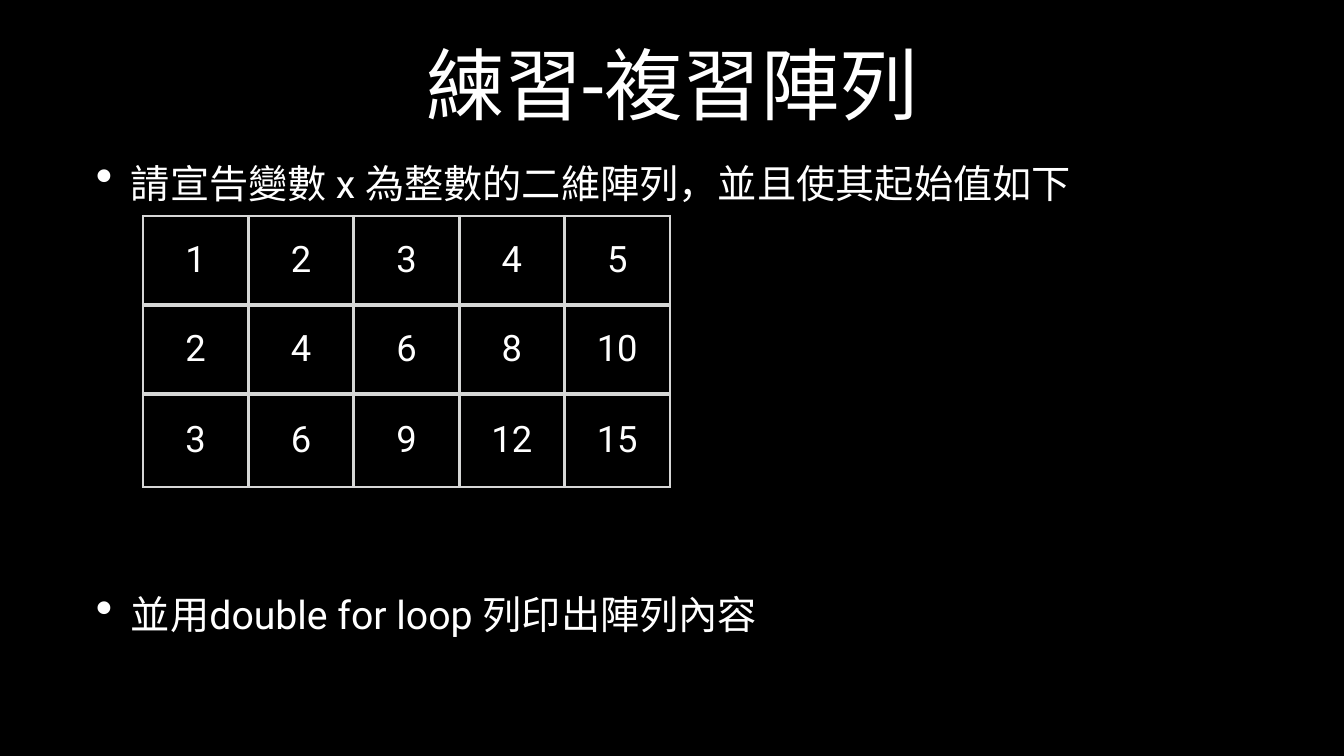
from dataclasses import dataclass

from lxml.etree import SubElement
from pptx import Presentation
from pptx.dml.color import RGBColor
from pptx.enum.text import MSO_ANCHOR, PP_ALIGN
from pptx.oxml.ns import qn
from pptx.util import Emu, Pt


@dataclass(frozen=True)
class Theme:
    """Colours, font and type sizes of the deck."""
    font: str = "Roboto"
    background: str = "000000"
    text: str = "FFFFFF"
    outer_line: str = "D6D6D6"
    inner_line: str = "D6D7D6"
    outer_width: int = 4
    inner_width: int = 5
    title_size: int = 112
    body_size: int = 56
    cell_size: int = 52


THEME = Theme()
PAGE_SIZE = (1344, 756)
MARGIN = 3
TITLE = "練習-複習陣列"
BULLETS = ["請宣告變數 x 為整數的二維陣列，並且使其起始值如下", "並用double for loop 列印出陣列內容"]
ARRAY = [[row * column for column in range(1, 6)] for row in range(1, 4)]


def px(length):
    """Turn slide pixels into EMU."""
    return Emu(round(length * 914400 / 50.4))


def style(para, size, align):
    """Set the font and alignment of a paragraph."""
    para.alignment = align
    para.font.name = THEME.font
    para.font.size = Pt(size)
    para.font.color.rgb = RGBColor.from_string(THEME.text)


def set_margins(holder):
    """Give a text frame or a cell the same margin on all sides."""
    for side in ("left", "top", "right", "bottom"):
        setattr(holder, f"margin_{side}", px(MARGIN))


def add_frame(page, box):
    """Add a wrapping, vertically centred text box."""
    frame = page.shapes.add_textbox(*map(px, box)).text_frame
    frame.word_wrap = True
    frame.vertical_anchor = MSO_ANCHOR.MIDDLE
    set_margins(frame)
    return frame


def add_title(page, box, text):
    """Add the centred title."""
    para = add_frame(page, box).paragraphs[0]
    para.text = text
    style(para, THEME.title_size, PP_ALIGN.CENTER)


def add_bullets(page, box, texts, gap):
    """Add bulleted lines with a gap in points between them."""
    frame = add_frame(page, box)
    for index, text in enumerate(texts):
        para = frame.add_paragraph() if index else frame.paragraphs[0]
        para.text = text
        style(para, THEME.body_size, PP_ALIGN.LEFT)
        para.space_before = Pt(gap if index else 0)
        properties = para._p.get_or_add_pPr()
        properties.set("marL", str(px(35)))
        properties.set("indent", str(px(-35)))
        bullet_size = SubElement(properties, qn("a:buSzPct"), val="125000")
        bullet = SubElement(properties, qn("a:buChar"), char="•")
        for element in (bullet, bullet_size):
            properties.remove(element)
            properties.find(qn("a:defRPr")).addprevious(element)
        properties.find(qn("a:buChar")).addprevious(bullet_size)


def set_borders(cell, outer_sides):
    """Draw outer or inner lines on the four sides of a cell."""
    properties = cell._tc.get_or_add_tcPr()
    for index, side in enumerate("LRTB"):
        outer = side in outer_sides
        width = THEME.outer_width if outer else THEME.inner_width
        color = THEME.outer_line if outer else THEME.inner_line
        line = properties.makeelement(qn(f"a:ln{side}"), {"w": str(Pt(width))})
        fill = SubElement(line, qn("a:solidFill"))
        SubElement(fill, qn("a:srgbClr"), val=color)
        properties.insert(index, line)


def add_array(page, box, values, row_heights):
    """Add the table of array values."""
    rows, columns = len(values), len(values[0])
    table = page.shapes.add_table(rows, columns, *map(px, box)).table
    table.first_row = table.horz_banding = False
    for column in table.columns:
        column.width = px(box[2] / columns)
    for y, (row, height) in enumerate(zip(table.rows, row_heights)):
        row.height = px(height)
        for x, cell in enumerate(row.cells):
            cell.text = str(values[y][x])
            cell.vertical_anchor = MSO_ANCHOR.MIDDLE
            set_margins(cell)
            style(cell.text_frame.paragraphs[0], THEME.cell_size, PP_ALIGN.CENTER)
            cell.fill.solid()
            cell.fill.fore_color.rgb = RGBColor.from_string(THEME.background)
            edges = {"L": x == 0, "R": x == columns - 1, "T": y == 0, "B": y == rows - 1}
            set_borders(cell, [side for side, outer in edges.items() if outer])


def main():
    """Build and save the slide."""
    deck = Presentation()
    deck.slide_width, deck.slide_height = map(px, PAGE_SIZE)
    page = deck.slides.add_slide(deck.slide_layouts[6])
    page.background.fill.solid()
    page.background.fill.fore_color.rgb = RGBColor.from_string(THEME.background)
    add_title(page, (93, 20, 1158, 126), TITLE)
    add_bullets(page, (93, 142, 1158, 512), BULLETS, 549)
    add_array(page, (143, 216, 527, 271), ARRAY, (89, 89, 93))
    deck.save("out.pptx")


if __name__ == "__main__":
    main()
